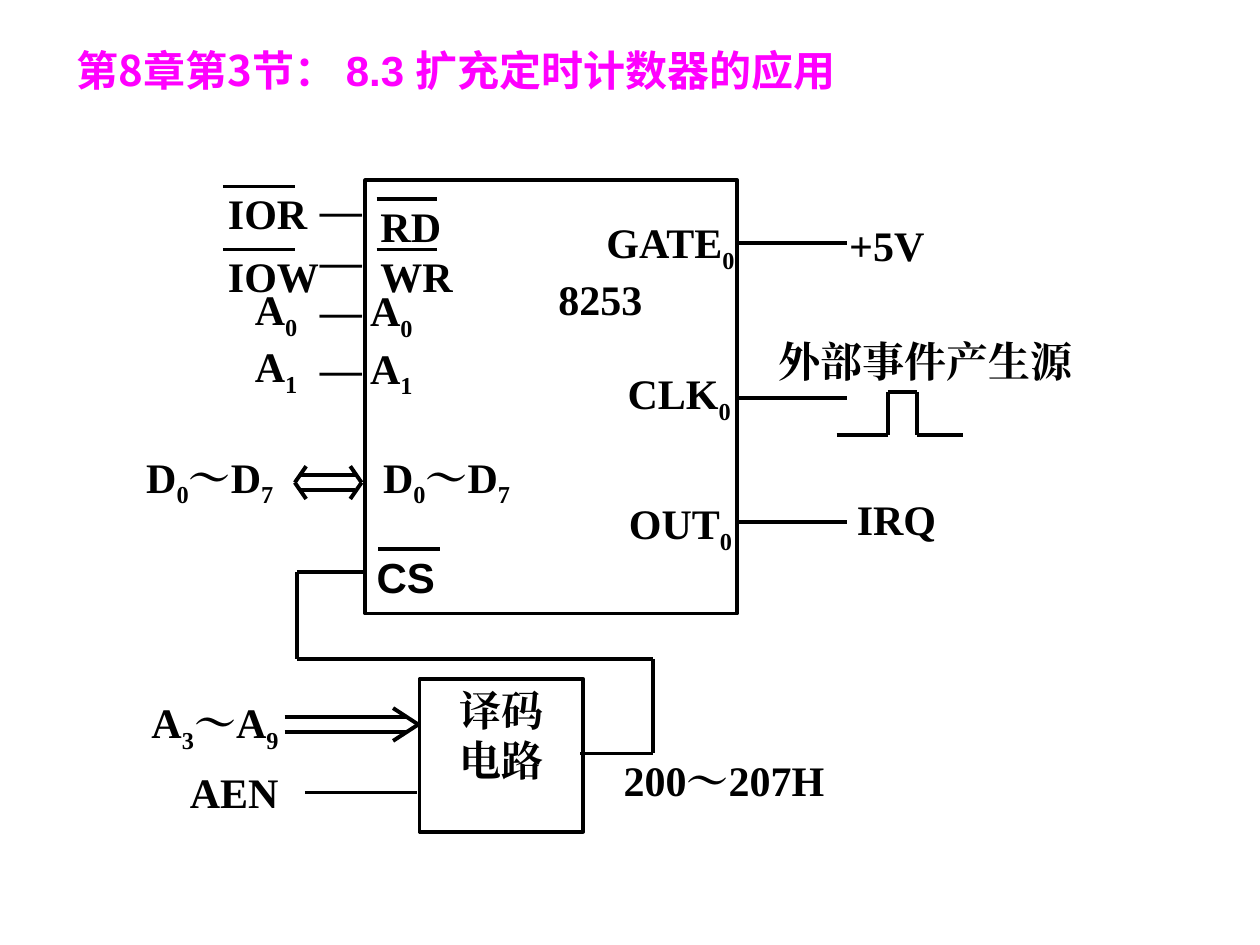
import dataclasses
import itertools

import lxml.etree
import pptx
import pptx.dml.color
import pptx.enum.shapes
import pptx.enum.text
import pptx.oxml.ns
import pptx.util

COLORS = {"title": "FF00FF", "ink": "000000"}
COLUMNS, ROWS = 100, 75
SERIF, SANS, CJK = "Times New Roman", "Arial", "Noto Sans CJK JP"
ALIGN = pptx.enum.text.PP_ALIGN
ANCHOR = pptx.enum.text.MSO_ANCHOR
TIGHT, ROOMY = (0.1, 0.1), (1, 0.5)

prs = pptx.Presentation()
prs.slide_width = pptx.util.Inches(10)
prs.slide_height = pptx.util.Inches(7.5)
s = prs.slides.add_slide(prs.slide_layouts[6])


@dataclasses.dataclass
class Label:
    x: float
    y: float
    w: float
    h: float
    lines: tuple[str, ...]
    align: ALIGN = ALIGN.LEFT
    font: str = SERIF
    margins: tuple[float, float] = TIGHT
    anchor: ANCHOR = ANCHOR.TOP
    wrap: bool = True


@dataclasses.dataclass
class Chevron:
    tip: float
    y: float
    depth: float


def col(n: float) -> int:
    return round(prs.slide_width * n / COLUMNS)


def row(n: float) -> int:
    return round(prs.slide_height * n / ROWS)


def rgb(name: str) -> pptx.dml.color.RGBColor:
    return pptx.dml.color.RGBColor.from_string(COLORS[name])


def style_run(r, font: str, color: str = "ink", subscript: bool = False) -> None:
    r.font.size = pptx.util.Pt(24)
    r.font.bold = True
    r.font.name = font
    r.font.color.rgb = rgb(color)
    rpr = r.font._element
    ea = lxml.etree.SubElement(rpr, pptx.oxml.ns.qn("a:ea"))
    ea.set("typeface", font)
    if subscript:
        rpr.set("baseline", "-25000")


def add_marked_text(p, text: str, font: str) -> None:
    for i, part in enumerate(text.split("_")):
        pieces = [(part, False)] if i == 0 else [(part[0], True), (part[1:], False)]
        for piece, subscript in pieces:
            if piece:
                r = p.add_run()
                r.text = piece
                style_run(r, font, subscript=subscript)


def fill_frame(tf, label: Label) -> None:
    tf.word_wrap = label.wrap
    tf.vertical_anchor = label.anchor
    tf.margin_left = tf.margin_right = col(label.margins[0])
    tf.margin_top = tf.margin_bottom = row(label.margins[1])
    for i, text in enumerate(label.lines):
        p = tf.paragraphs[0] if i == 0 else tf.add_paragraph()
        p.alignment = label.align
        add_marked_text(p, text, label.font)


def add_label(label: Label) -> None:
    sp = s.shapes.add_textbox(col(label.x), row(label.y), col(label.w), row(label.h))
    fill_frame(sp.text_frame, label)


def add_block(label: Label) -> None:
    sp = s.shapes.add_shape(pptx.enum.shapes.MSO_SHAPE.RECTANGLE,
                            col(label.x), row(label.y), col(label.w), row(label.h))
    sp.shadow.inherit = False
    sp.fill.background()
    sp.line.color.rgb = rgb("ink")
    sp.line.width = pptx.util.Pt(2.25)
    fill_frame(sp.text_frame, label)


def add_wire(x1: float, y1: float, x2: float, y2: float) -> None:
    c = s.shapes.add_connector(pptx.enum.shapes.MSO_CONNECTOR.STRAIGHT,
                               col(x1), row(y1), col(x2), row(y2))
    c.line.color.rgb = rgb("ink")
    c.line.width = pptx.util.Pt(2.25)
    lxml.etree.SubElement(c._element.spPr, pptx.oxml.ns.qn("a:effectLst"))


def add_chevron(chevron: Chevron) -> None:
    for dy in (-1.3, 1.3):
        add_wire(chevron.tip - chevron.depth, chevron.y + dy, chevron.tip, chevron.y)


def add_title() -> None:
    sp = s.shapes.add_textbox(col(5.1), row(2.8), col(90), row(5.5))
    tf = sp.text_frame
    tf.word_wrap = True
    tf.vertical_anchor = ANCHOR.MIDDLE
    p = tf.paragraphs[0]
    for text, font in (("第8章第3节： ", CJK), ("8.3 扩充定时计数器的应用", SANS)):
        r = p.add_run()
        r.text = text
        style_run(r, font, "title")


BLOCKS = [
    Label(29, 14.3, 29.5, 34.4, ()),
    Label(33.3, 53.9, 13, 12.1, ("译码", "电路"), ALIGN.CENTER, margins=(0.1, 0.4)),
]

LABELS = [
    Label(16.1, 22.4, 7.6, 9.5, ("A_0", "A_1"), ALIGN.RIGHT),
    Label(25.3, 14.5, 17.6, 21.5, ("—", "—", "— A_0", "— A_1")),
    Label(60.1, 26.5, 26.7, 4.8, ("外部事件产生源",), ALIGN.CENTER),
    Label(40.3, 21.6, 14.7, 7.5, ("8253",), ALIGN.CENTER),
    Label(41, 17.1, 17.4, 5.2, ("GATE_0",), ALIGN.RIGHT),
    Label(43.6, 29.1, 14.5, 5.2, ("CLK_0",), ALIGN.RIGHT),
    Label(43.3, 39.4, 14.9, 5.2, ("OUT_0",), ALIGN.RIGHT),
    Label(67.3, 17.3, 11.2, 5.9, ("+5V",)),
    Label(67.9, 39.1, 13.4, 5.2, ("IRQ",)),
    Label(6.6, 35.7, 20.1, 5.2, ("D_0～D_7",), ALIGN.CENTER),
    Label(30.3, 35.7, 20.1, 5.2, ("D_0～D_7",)),
    Label(6.7, 55.2, 15.5, 5.2, ("A_3～A_9",), ALIGN.RIGHT),
    Label(6.7, 60.7, 15.5, 5.2, ("AEN",), ALIGN.RIGHT),
    Label(47.4, 59.8, 20.1, 5.2, ("200～207H",), ALIGN.CENTER),
    Label(28.9, 43.3, 6.6, 5, ("CS",), ALIGN.RIGHT, SANS, ROOMY, ANCHOR.MIDDLE, False),
    Label(18, 14.8, 10, 4.5, ("IOR",)),
    Label(18, 19.8, 10, 4.5, ("IOW",)),
    Label(30.1, 15.8, 10, 4.5, ("RD",)),
    Label(30.1, 19.8, 10, 4.5, ("WR",)),
]

OVERBARS = [(17.7, 14.8, 5.7), (17.7, 19.8, 5.7),
            (29.9, 15.8, 4.8), (29.9, 19.8, 4.8), (30, 43.6, 4.9)]
PIN_ROWS = [19.3, 31.6, 41.4]
BUSES = [(23.8, 28.2, 38.3), (22.6, 32.2, 57.5)]
CHEVRONS = [Chevron(28.7, 38.3, 0.9), Chevron(23.4, 38.3, -0.9), Chevron(33.2, 57.5, 2)]
SELECT_PATH = [(28.9, 45.4), (23.6, 45.4), (23.6, 52.3), (51.8, 52.3), (51.8, 59.8), (46, 59.8)]
PULSE = [(66.4, 34.5), (70.5, 34.5), (70.5, 31.1), (72.8, 31.1), (72.8, 34.5), (76.4, 34.5)]
AEN_WIRE = (24.2, 62.9, 33.1, 62.9)


def main() -> None:
    add_title()
    for block in BLOCKS:
        add_block(block)
    for label in LABELS:
        add_label(label)
    for x, y, w in OVERBARS:
        add_wire(x, y, x + w, y)
    for y in PIN_ROWS:
        add_wire(58.4, y, 67.2, y)
    for x1, x2, y in BUSES:
        for dy in (-0.6, 0.6):
            add_wire(x1, y + dy, x2, y + dy)
    for chevron in CHEVRONS:
        add_chevron(chevron)
    for points in (SELECT_PATH, PULSE):
        for start, end in itertools.pairwise(points):
            add_wire(*start, *end)
    add_wire(*AEN_WIRE)
    prs.save("out.pptx")


if __name__ == "__main__":
    main()
